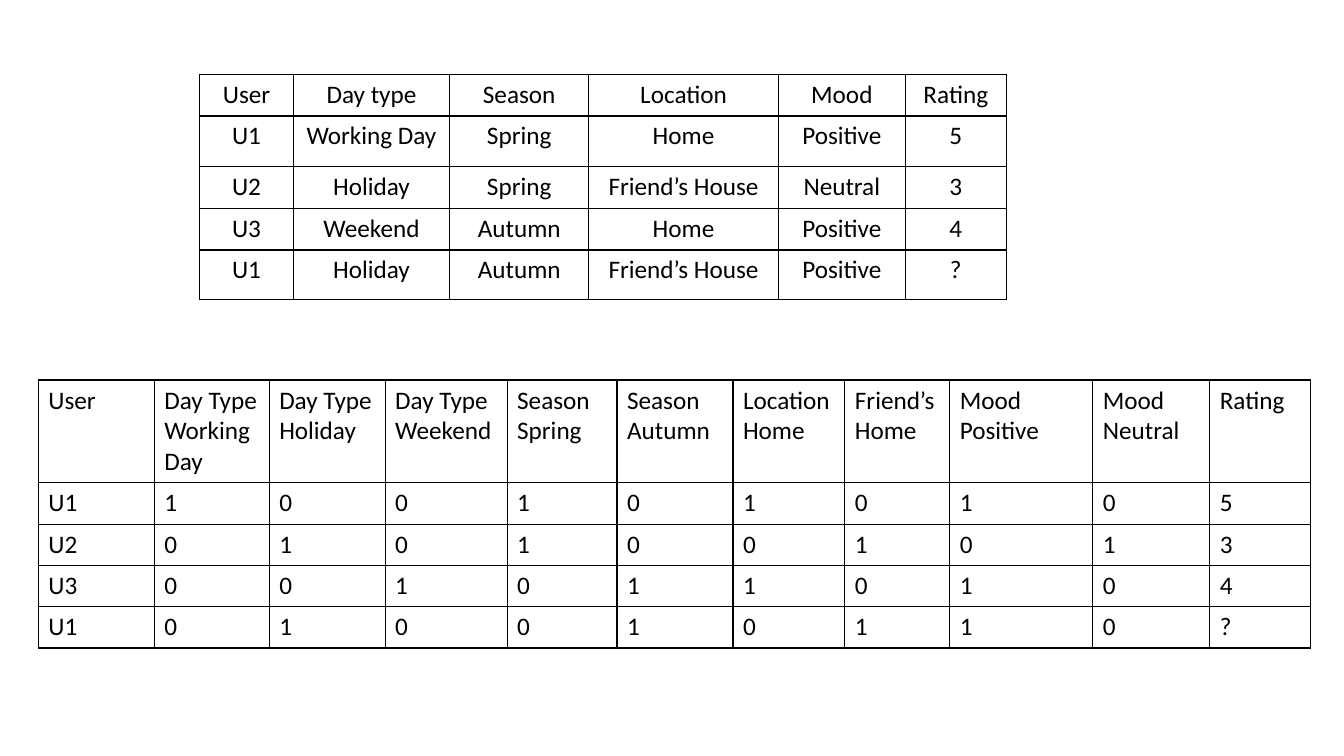
from dataclasses import dataclass

from lxml.etree import SubElement
from pptx import Presentation
from pptx.dml.color import RGBColor
from pptx.enum.text import PP_ALIGN as Align
from pptx.oxml.ns import qn
from pptx.util import Inches, Pt


@dataclass(frozen=True)
class Theme:
    font: str = "Calibri"
    size: int = 18
    ink: str = "000000"
    border: float = 1


THEME = Theme()

# Ratings with their context
RATING_HEADERS = ["User", "Day type", "Season", "Location", "Mood", "Rating"]
RATINGS = [
    ["U1", "Working Day", "Spring", "Home", "Positive", "5"],
    ["U2", "Holiday", "Spring", "Friend’s House", "Neutral", "3"],
    ["U3", "Weekend", "Autumn", "Home", "Positive", "4"],
    ["U1", "Holiday", "Autumn", "Friend’s House", "Positive", "?"],
]

# Header of each binary column and the context value it flags
FLAGS = {
    "Day Type Working Day": "Working Day",
    "Day Type Holiday": "Holiday",
    "Day Type Weekend": "Weekend",
    "Season Spring": "Spring",
    "Season Autumn": "Autumn",
    "Location Home": "Home",
    "Friend’s Home": "Friend’s House",
    "Mood Positive": "Positive",
    "Mood Neutral": "Neutral",
}


def write_text(frame, text, align=Align.LEFT, size=THEME.size, color=THEME.ink):
    para = frame.paragraphs[0]
    para.alignment = align
    span = para.add_run()
    span.text = text
    span.font.name = THEME.font
    span.font.size = Pt(size)
    span.font.bold = False
    span.font.color.rgb = RGBColor.from_string(color)


def outline_cell(cell):
    properties = cell._tc.get_or_add_tcPr()
    for position, side in enumerate(("a:lnL", "a:lnR", "a:lnT", "a:lnB")):
        line = SubElement(properties, qn(side), w=str(Pt(THEME.border)))
        fill = SubElement(line, qn("a:solidFill"))
        SubElement(fill, qn("a:srgbClr"), val=THEME.ink)
        properties.insert(position, line)  # borders come before the fill


def add_grid(page, box, rows, widths, heights, align):
    left, top, width, height = (Inches(length) for length in box)
    table = page.shapes.add_table(
        len(rows), len(widths), left, top, width, height).table
    table.first_row = False
    table.horz_banding = False
    for column, length in zip(table.columns, widths):
        column.width = Inches(length)
    for row, length, texts in zip(table.rows, heights, rows):
        row.height = Inches(length)
        for cell, text in zip(row.cells, texts):
            cell.fill.background()
            outline_cell(cell)
            write_text(cell.text_frame, text, align=align)


def add_ratings(page, box):
    add_grid(page, box, [RATING_HEADERS, *RATINGS],
             widths=[0.93, 1.55, 1.38, 1.88, 1.26, 1],
             heights=[0.41, 0.5, 0.42, 0.41, 0.49], align=Align.CENTER)


def add_encoded_ratings(page, box):
    rows = [["User", *FLAGS, "Rating"]]
    for user, *context, rating in RATINGS:
        flags = [str(int(value in context)) for value in FLAGS.values()]
        rows.append([user, *flags, rating])
    add_grid(page, box, rows,
             widths=[1.15, 1.14, 1.15, 1.21, 1.09, 1.15,
                     1.11, 1.04, 1.42, 1.16, 1],
             heights=[1.02] + [0.41] * len(RATINGS), align=Align.LEFT)


deck = Presentation()
deck.slide_width, deck.slide_height = Inches(13.33), Inches(7.5)
blank_layout = deck.slide_layouts[6]
page = deck.slides.add_slide(blank_layout)
add_ratings(page, box=(1.98, 0.74, 8.01, 2.23))
add_encoded_ratings(page, box=(0.38, 3.77, 12.62, 2.66))
deck.save("out.pptx")
